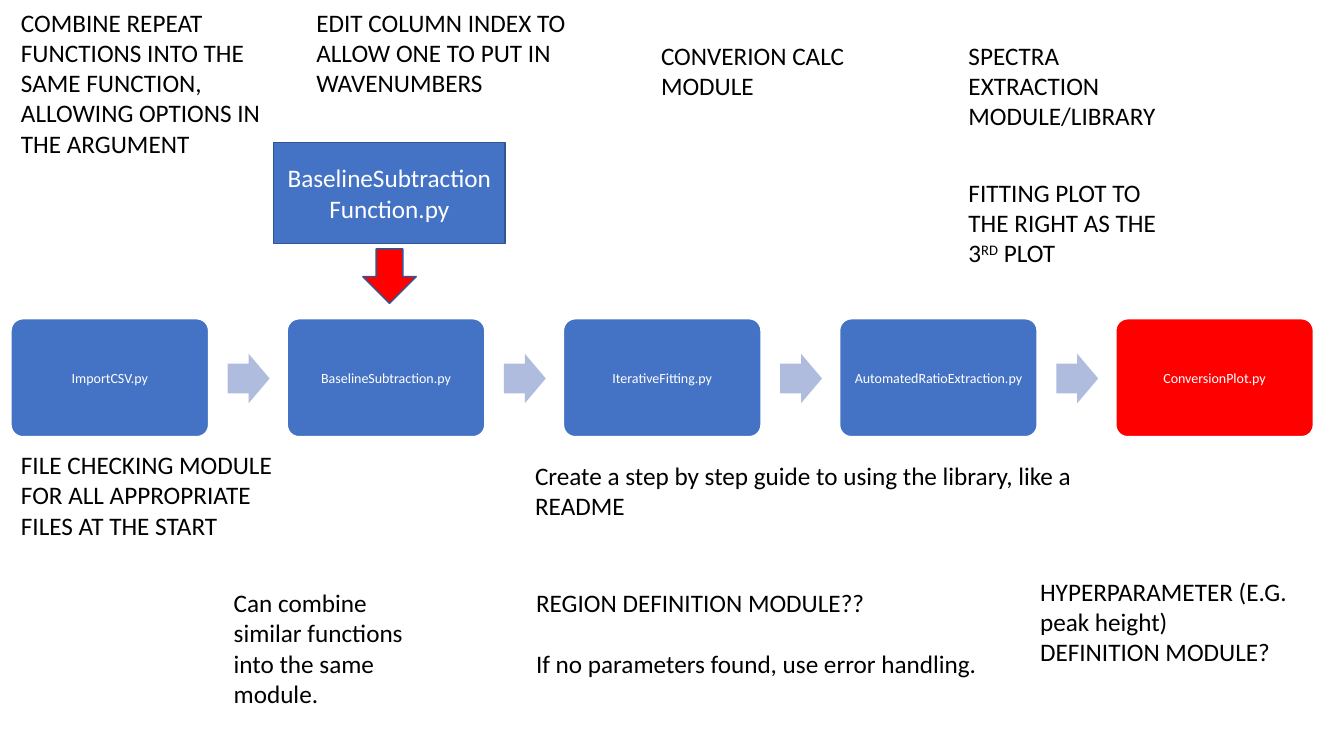
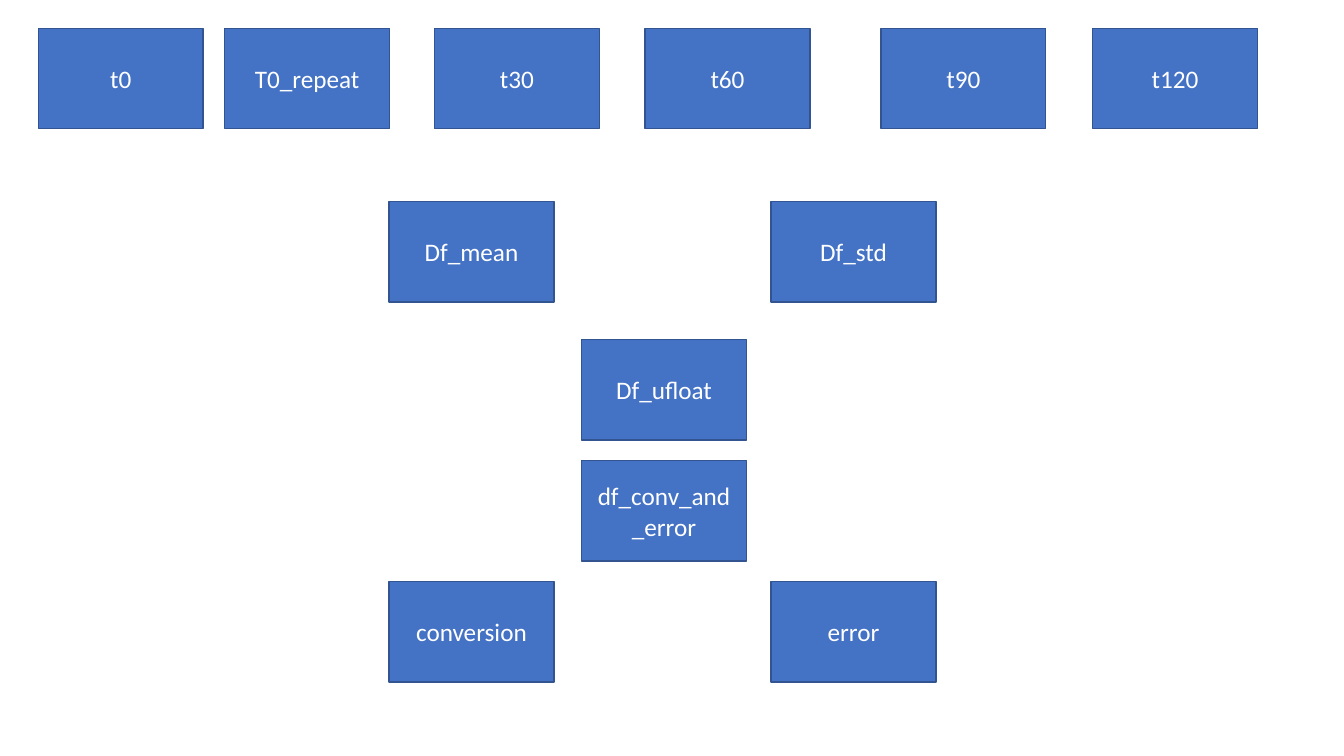
from dataclasses import dataclass
from typing import NamedTuple

from pptx import Presentation
from pptx.dml.color import RGBColor
from pptx.enum.shapes import MSO_SHAPE
from pptx.enum.text import MSO_ANCHOR, MSO_AUTO_SIZE, PP_ALIGN
from pptx.util import Pt


@dataclass(frozen=True)
class Theme:
    font: str = "Calibri"
    blue: str = "4472C4"
    outline: str = "325491"
    red: str = "FF0000"
    pale: str = "B0BCDE"
    white: str = "FFFFFF"
    black: str = "000000"
    body: float = 18
    small: float = 10
    line: float = 1
    paragraph_gap: float = 21.6


T = Theme()


class Box(NamedTuple):
    x: float
    y: float
    w: float
    h: float


class Run(NamedTuple):
    text: str
    raised: bool = False


class Note(NamedTuple):
    box: Box
    paragraphs: list[list[Run]]


class Step(NamedTuple):
    name: str
    fill: str = T.blue


class Node(NamedTuple):
    name: str
    x: float
    y: float


def apply(target, formats: dict) -> None:
    for name, value in formats.items():
        setattr(target, name, value)


def add_run(p, run: Run, size: float, color: str) -> None:
    r = p.add_run()
    apply(r, {"text": run.text})
    apply(r.font, {"name": T.font, "size": Pt(size)})
    r.font.color.rgb = RGBColor.from_string(color)
    if run.raised:
        r.font._element.set("baseline", "30000")


def add_block(s, kind: MSO_SHAPE, box: Box, fill: str, line: str | None = T.outline,
              text: str = "", size: float = T.body, inset: float = 7.2):
    sp = s.shapes.add_shape(kind, *map(Pt, box))
    sp.shadow.inherit = False
    sp.fill.solid()
    sp.fill.fore_color.rgb = RGBColor.from_string(fill)
    if line:
        sp.line.color.rgb = RGBColor.from_string(line)
        sp.line.width = Pt(T.line)
    else:
        sp.line.fill.background()
    if text:
        tf = sp.text_frame
        apply(tf, {"word_wrap": True, "vertical_anchor": MSO_ANCHOR.MIDDLE,
                   "margin_left": Pt(inset), "margin_right": Pt(inset)})
        p = tf.paragraphs[0]
        p.alignment = PP_ALIGN.CENTER
        add_run(p, Run(text), size, T.white)
    return sp


def add_note(s, note: Note) -> None:
    tf = s.shapes.add_textbox(*map(Pt, note.box)).text_frame
    apply(tf, {"word_wrap": True, "auto_size": MSO_AUTO_SIZE.SHAPE_TO_FIT_TEXT})
    for i, runs in enumerate(note.paragraphs):
        p = tf.add_paragraph() if i else tf.paragraphs[0]
        if i:
            p.space_before = Pt(T.paragraph_gap)
        for run in runs:
            add_run(p, run, T.body, T.black)


def add_pipeline(s, steps: list[Step]) -> None:
    left, pitch, arrow_offset = 7.92, 197.28, 154.8
    for i, step in enumerate(steps):
        x = left + i * pitch
        sp = add_block(s, MSO_SHAPE.ROUNDED_RECTANGLE, Box(x, 227.7, 141.12, 84.24),
                       step.fill, T.white, step.name, T.small, 2.88)
        sp.adjustments[0] = 0.1
        if i < len(steps) - 1:
            arrow = add_block(s, MSO_SHAPE.RIGHT_ARROW,
                              Box(x + arrow_offset, 252.72, 29.88, 35.28), T.pale, None)
            arrow.adjustments[0] = 0.6
            arrow.adjustments[1] = 0.5


def note(x: float, y: float, w: float, h: float, *texts: str) -> Note:
    return Note(Box(x, y, w, h), [[Run(text)] for text in texts])


NARROW, MEDIUM, WIDE = 148.32, 194.4, 424.8
TWO_LINES, THREE_LINES, FOUR_LINES, FIVE_LINES = 50.9, 72.7, 94.5, 116.3

STEPS = [
    Step("ImportCSV.py"),
    Step("BaselineSubtraction.py"),
    Step("IterativeFitting.py"),
    Step("AutomatedRatioExtraction.py"),
    Step("ConversionPlot.py", T.red),
]

NOTES = [
    note(375.84, 416.16, WIDE, THREE_LINES, "REGION DEFINITION MODULE??",
         "If no parameters found, use error handling."),
    note(735.84, 407.9, MEDIUM, THREE_LINES,
         "HYPERPARAMETER (E.G. peak height) DEFINITION MODULE?"),
    note(465.12, 25.2, NARROW, TWO_LINES, "CONVERION CALC MODULE"),
    note(684.72, 25.2, NARROW, THREE_LINES, "SPECTRA EXTRACTION MODULE/LIBRARY"),
    Note(Box(684.72, 123.12, NARROW, THREE_LINES),
         [[Run("FITTING PLOT TO THE RIGHT AS THE 3"), Run("RD", True), Run(" PLOT")]]),
    note(159.84, 416.16, NARROW, FOUR_LINES,
         "Can combine similar functions into the same module."),
    note(375.12, 325.44, WIDE, TWO_LINES,
         "Create a step by step guide to using the library, like a README"),
    note(7.92, 1.44, MEDIUM, FIVE_LINES,
         "COMBINE REPEAT FUNCTIONS INTO THE SAME FUNCTION, ALLOWING OPTIONS IN THE ARGUMENT"),
    note(218.88, 1.44, MEDIUM, THREE_LINES,
         "EDIT COLUMN INDEX TO ALLOW ONE TO PUT IN WAVENUMBERS"),
    note(7.92, 317.52, MEDIUM, THREE_LINES,
         "FILE CHECKING MODULE FOR ALL APPROPRIATE FILES AT THE START"),
]

LEFT, CENTER, RIGHT = 277.92, 415.44, 550.8
TIMES_Y, STATS_Y, MERGE_Y, ROW_PITCH = 20.16, 144, 242.64, 86.4
TIMES = {"t0": 27.36, "T0_repeat": 160.56, "t30": 310.32,
         "t60": 460.8, "t90": 629.28, "t120": 780.48}

NODES = [Node(name, x, TIMES_Y) for name, x in TIMES.items()] + [
    Node("Df_mean", LEFT, STATS_Y),
    Node("Df_std", RIGHT, STATS_Y),
    Node("Df_ufloat", CENTER, MERGE_Y),
    Node("df_conv_and_error", CENTER, MERGE_Y + ROW_PITCH),
    Node("conversion", LEFT, MERGE_Y + 2 * ROW_PITCH),
    Node("error", RIGHT, MERGE_Y + 2 * ROW_PITCH),
]


def build_workflow(s) -> None:
    add_pipeline(s, STEPS)
    add_block(s, MSO_SHAPE.RECTANGLE, Box(195.48, 101.88, 165.24, 72), T.blue,
              text="BaselineSubtractionFunction.py")
    add_block(s, MSO_SHAPE.DOWN_ARROW, Box(259.2, 177.84, 38.16, 38.88), T.red)
    for item in NOTES:
        add_note(s, item)


def build_dataframes(s) -> None:
    for node in NODES:
        add_block(s, MSO_SHAPE.RECTANGLE, Box(node.x, node.y, 117.72, 71.64),
                  T.blue, text=node.name)


prs = Presentation()
apply(prs, {"slide_width": Pt(960), "slide_height": Pt(540)})
for build in (build_workflow, build_dataframes):
    build(prs.slides.add_slide(prs.slide_layouts[6]))
prs.save("out.pptx")
